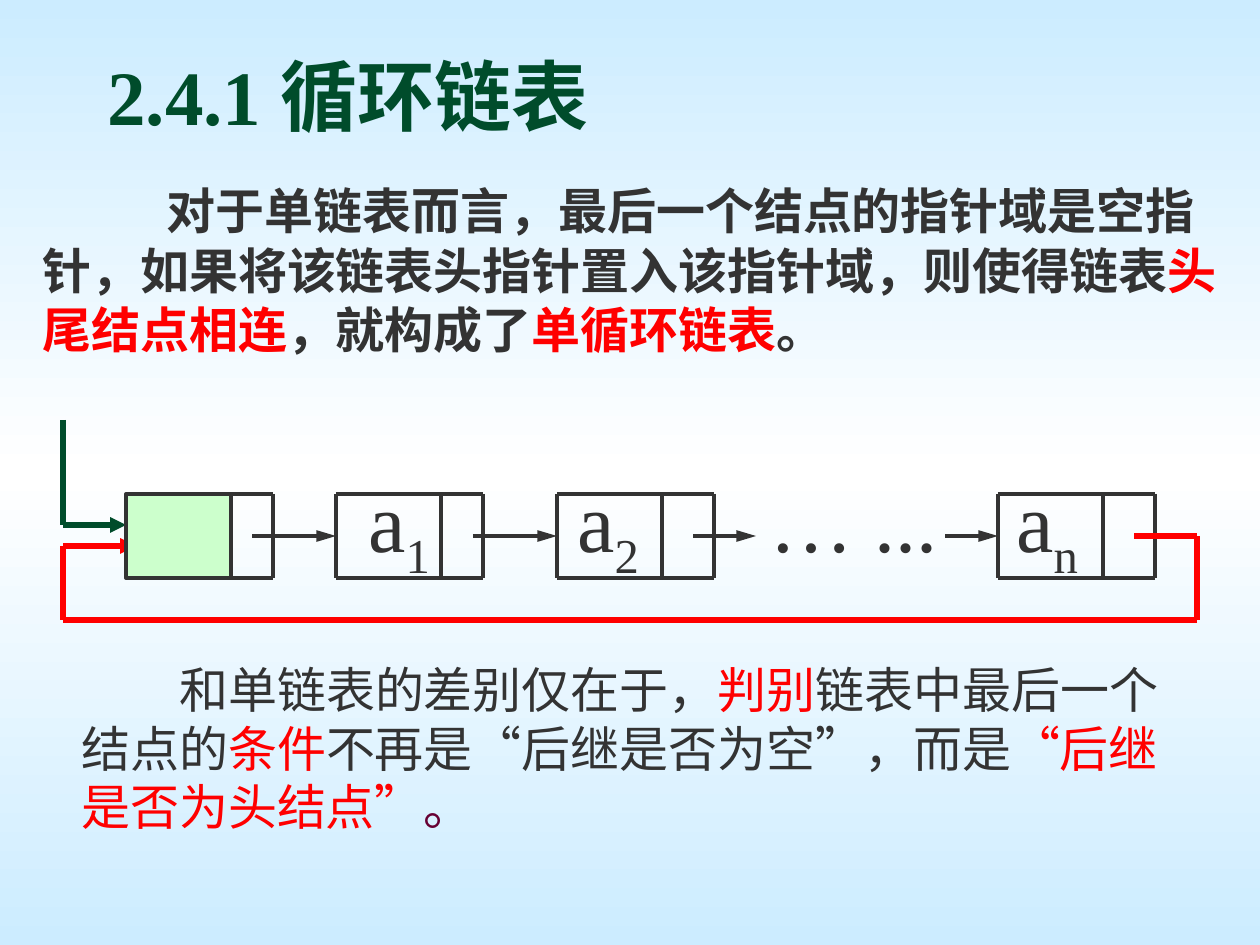
from copy import deepcopy
from typing import NamedTuple, Optional

import pptx
import pptx.dml.color
import pptx.enum.shapes
import pptx.enum.text
import pptx.oxml
import pptx.oxml.ns
import pptx.util
from lxml import etree

RGB = pptx.dml.color.RGBColor
INK = RGB(0x33, 0x33, 0x33)
GREEN = RGB(0x00, 0x4C, 0x2B)
RED = RGB(0xFF, 0x00, 0x00)
PLUM = RGB(0x66, 0x00, 0x33)
MINT = RGB(0xCC, 0xFF, 0xCC)
SKY = RGB(0xCC, 0xEC, 0xFF)
WHITE = RGB(0xFF, 0xFF, 0xFF)

FONT = "Times New Roman"
PX_PER_INCH = 126
NODE_TOP, NODE_MIDDLE, NODE_BOTTOM = 494, 536, 578


class Span(NamedTuple):
    text: str
    size: int
    color: RGB = INK
    bold: bool = False
    subscript: bool = False


class Node(NamedTuple):
    left: int
    divider: int
    right: int


class Label(NamedTuple):
    left: int
    width: int
    text: str
    index: str


class Link(NamedTuple):
    points: list[tuple[int, int]]
    color: RGB = INK
    weight: float = 2.25
    head_length: Optional[str] = "lg"  # None draws no arrowhead


def px(length: int) -> int:
    return round(length * pptx.util.Inches(1) / PX_PER_INCH)


def add_under(parent, tag: str, **attributes: str) -> None:
    etree.SubElement(parent, pptx.oxml.ns.qn(tag), attributes)


def add_text(slide, left: int, top: int, width: int, height: int,
             spans: list[Span], indent: int = 0,
             anchor=pptx.enum.text.MSO_ANCHOR.TOP) -> None:
    box = slide.shapes.add_textbox(px(left), px(top), px(width), px(height))
    frame = box.text_frame
    frame.word_wrap = True
    frame.vertical_anchor = anchor
    paragraph = frame.paragraphs[0]
    paragraph._p.get_or_add_pPr().set("indent", str(px(indent)))
    for span in spans:
        run = paragraph.add_run()
        run.text = span.text
        run.font.name = FONT
        run.font.size = pptx.util.Pt(span.size)
        run.font.bold = span.bold
        run.font.color.rgb = span.color
        if span.subscript:
            run._r.get_or_add_rPr().set("baseline", "-25000")


def add_label(slide, label: Label) -> None:
    spans = [Span(label.text, 48)]
    if label.index:
        spans.append(Span(label.index, 48, subscript=True))
    add_text(slide, label.left, 462, label.width, 164, spans)


def add_link(slide, link: Link) -> None:
    """Draw straight segments through the points, with a head on the last."""
    line = None
    for start, end in zip(link.points, link.points[1:]):
        line = slide.shapes.add_connector(
            pptx.enum.shapes.MSO_CONNECTOR.STRAIGHT, *map(px, start + end))
        line.line.color.rgb = link.color
        line.line.width = pptx.util.Pt(link.weight)
        add_under(line._element.spPr, "a:effectLst")
    if line is not None and link.head_length:
        add_under(line.line._get_or_add_ln(), "a:tailEnd",
                  type="triangle", w="med", len=link.head_length)


def add_node(slide, node: Node) -> None:
    for y in (NODE_TOP, NODE_BOTTOM):
        add_link(slide, Link([(node.left, y), (node.right, y)], head_length=None))
    for x in node:
        add_link(slide, Link([(x, NODE_TOP), (x, NODE_BOTTOM)], head_length=None))


def paint_background(slide) -> None:
    fill = slide.background.fill
    fill.gradient()
    fill.gradient_angle = 90
    stop_list = slide.element.find(".//" + pptx.oxml.ns.qn("a:gsLst"))
    stop_list.append(deepcopy(stop_list[-1]))
    for stop, position, color in zip(fill.gradient_stops, (0, 0.5, 1), (SKY, WHITE, SKY)):
        stop.position = position
        stop.color.rgb = color


NODES = [Node(126, 231, 273), Node(336, 441, 483),
         Node(557, 662, 714), Node(998, 1103, 1155)]

LABELS = [Label(356, 100, "a", "1"), Label(565, 100, "a", "2"),
          Label(757, 200, "… ...", ""), Label(1004, 100, "a", "n")]

LINKS = [Link([(start, NODE_MIDDLE), (end, NODE_MIDDLE)])
         for start, end in ((252, 336), (473, 557), (693, 756), (945, 998))]
LINKS += [
    # Head pointer, then the link from the last node back to the head
    Link([(63, 420), (63, 525), (126, 525)], GREEN, 3, "med"),
    Link([(1134, 536), (1197, 536), (1197, 620), (63, 620), (63, 546), (136, 546)],
         RED, 3, "med"),
]

TITLE = [Span("2.4.1 循环链表", 44, GREEN, True)]
DEFINITION = [
    Span(" ", 32),
    Span("对于单链表而言，最后一个结点的指针域是空指针，"
         "如果将该链表头指针置入该指针域，则使得链表", 28, INK, True),
    Span("头尾结点相连", 28, RED, True),
    Span("，就构成了", 28, INK, True),
    Span("单循环链表", 28, RED, True),
    Span("。", 28, INK, True),
]
DIFFERENCE = [
    Span("和单链表的差别仅在于，", 28),
    Span("判别", 28, RED),
    Span("链表中最后一个结点的", 28),
    Span("条件", 28, RED),
    Span("不再是“后继是否为空”，而是", 28),
    Span("“后继是否为头结点”", 28, RED),
    Span("。", 28, PLUM),
]


def main() -> None:
    deck = pptx.Presentation()
    deck.slide_width, deck.slide_height = px(1260), px(945)
    slide = deck.slides.add_slide(deck.slide_layouts[6])
    paint_background(slide)

    # Title and definition
    add_text(slide, 95, 18, 1071, 129, TITLE, anchor=pptx.enum.text.MSO_ANCHOR.BOTTOM)
    add_text(slide, 30, 167, 1201, 748, DEFINITION, indent=112)

    # Circular list diagram
    for label in LABELS:
        add_label(slide, label)
    for node in NODES:
        add_node(slide, node)
    for link in LINKS:
        add_link(slide, link)
    head = NODES[0]
    head_data = slide.shapes.add_shape(
        pptx.enum.shapes.MSO_SHAPE.RECTANGLE, px(head.left), px(NODE_TOP),
        px(head.divider - head.left), px(NODE_BOTTOM - NODE_TOP))
    head_data.shadow.inherit = False
    head_data.fill.solid()
    head_data.fill.fore_color.rgb = MINT
    head_data.line.color.rgb = INK
    head_data.line.width = pptx.util.Pt(2.25)

    # Difference from the plain singly linked list
    add_text(slide, 69, 653, 1149, 190, DIFFERENCE, indent=98)

    deck.save("out.pptx")


if __name__ == "__main__":
    main()
